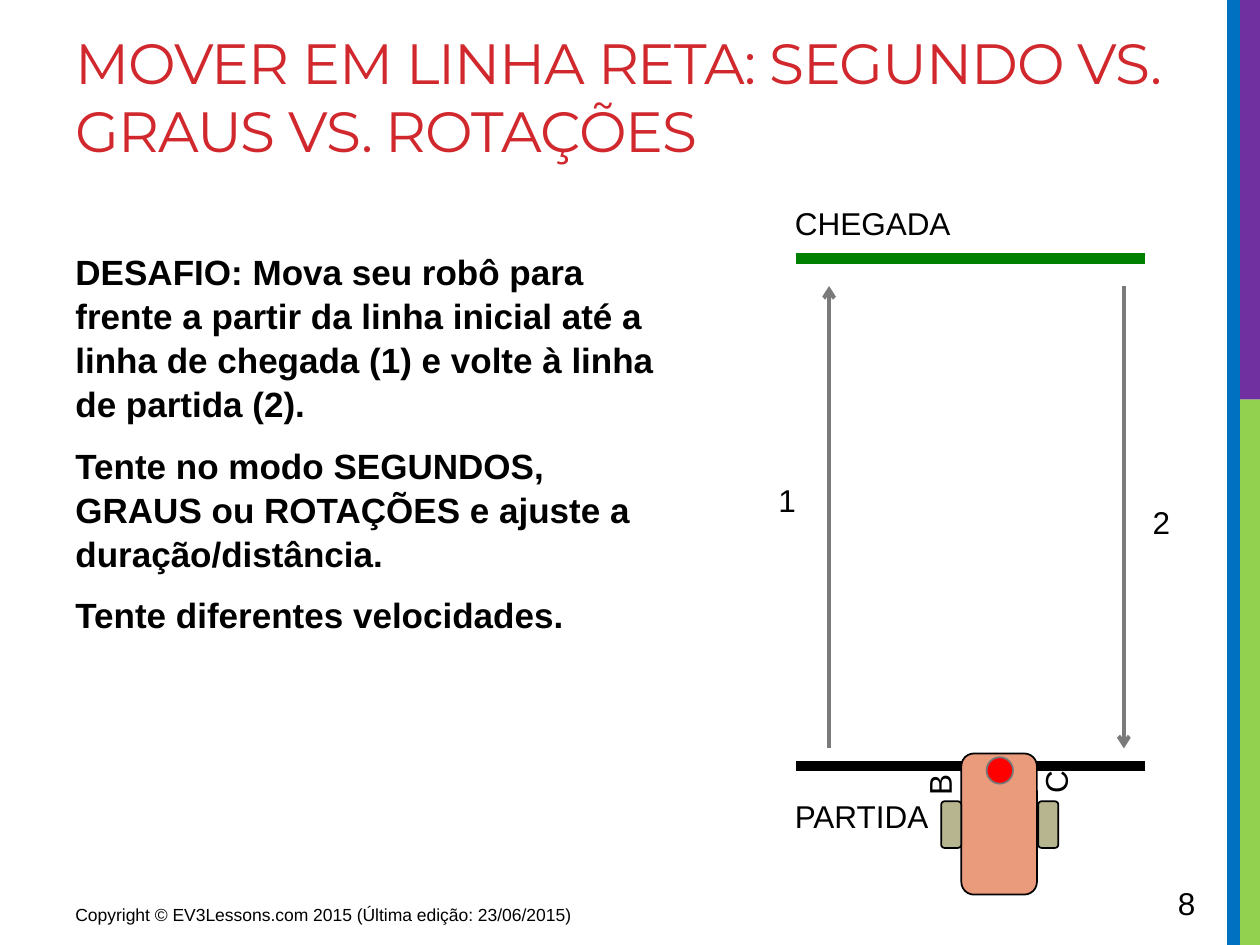
from lxml import etree
from pptx import Presentation
from pptx.dml.color import RGBColor
from pptx.enum.shapes import MSO_CONNECTOR, MSO_SHAPE
from pptx.enum.text import MSO_ANCHOR, PP_ALIGN
from pptx.oxml.ns import qn
from pptx.util import Inches, Pt

STRAIGHT = MSO_CONNECTOR.STRAIGHT
RECTANGLE, ROUNDED, OVAL = MSO_SHAPE.RECTANGLE, MSO_SHAPE.ROUNDED_RECTANGLE, MSO_SHAPE.OVAL
TOP, MIDDLE = MSO_ANCHOR.TOP, MSO_ANCHOR.MIDDLE
LEFT = PP_ALIGN.LEFT

BLACK = RGBColor(0x00, 0x00, 0x00)
TITLE_RED = RGBColor(0xD1, 0x28, 0x2E)
BAR_LIME = RGBColor(0x92, 0xD0, 0x50)
BAR_PURPLE = RGBColor(0x70, 0x30, 0xA0)
BAR_BLUE = RGBColor(0x00, 0x70, 0xC0)
FINISH_GREEN = RGBColor(0x00, 0x80, 0x00)
ARROW_GRAY = RGBColor(0x7A, 0x7A, 0x7A)
ROBOT_ORANGE = RGBColor(0xEA, 0x9B, 0x7C)
WHEEL_KHAKI = RGBColor(0xB6, 0xB5, 0x90)
SENSOR_RED = RGBColor(0xFF, 0x00, 0x00)
SENSOR_GRAY = RGBColor(0x77, 0x77, 0x77)

CHALLENGE = [
    "DESAFIO: Mova seu robô para frente a partir da linha inicial até a "
    "linha de chegada (1) e volte à linha de partida (2).",
    "Tente no modo SEGUNDOS, GRAUS ou ROTAÇÕES e ajuste a duração/distância.",
    "Tente diferentes velocidades.",
]


def add_run(paragraph, text, size, color=BLACK, font="Arial", bold=False):
    run = paragraph.add_run()
    run.text = text
    run.font.name = font
    run.font.size = Pt(size)
    run.font.bold = bold
    run.font.color.rgb = color
    return run


def add_box(shapes, kind, box, fill, line=None):
    shape = shapes.add_shape(kind, *map(Inches, box))
    shape.shadow.inherit = False
    shape.fill.solid()
    shape.fill.fore_color.rgb = fill
    if line is None:
        shape.line.fill.background()
    else:
        shape.line.color.rgb = line
        shape.line.width = Pt(1)


def add_label(shapes, text, box, size=18, wrap=True, anchor=TOP, rotation=0):
    label = shapes.add_textbox(*map(Inches, box))
    label.rotation = rotation
    frame = label.text_frame
    frame.word_wrap = wrap
    frame.vertical_anchor = anchor
    add_run(frame.paragraphs[0], text, size)


def add_line(shapes, start, end, color, width, arrow=False):
    connector = shapes.add_connector(STRAIGHT, *map(Inches, start + end))
    connector.line.color.rgb = color
    connector.line.width = Pt(width)
    if arrow:
        tail = etree.SubElement(connector.line._get_or_add_ln(), qn("a:tailEnd"))
        tail.set("type", "arrow")
    etree.SubElement(connector._element.spPr, qn("a:effectLst"))


def add_title(slide):
    title = slide.shapes.title
    title.left, title.top = Inches(0.5), Inches(0.17)
    title.width, title.height = Inches(9.02), Inches(1.5)
    frame = title.text_frame
    frame.word_wrap = True
    frame.vertical_anchor = TOP
    paragraph = frame.paragraphs[0]
    paragraph.alignment = LEFT
    run = add_run(paragraph, "MOVER EM LINHA RETA: SEGUNDO VS. GRAUS VS. ROTAÇÕES",
                  32.4, TITLE_RED, "Montserrat")
    run.font._element.set("spc", "-60")


def add_challenge(shapes):
    frame = shapes.add_textbox(Inches(0.5), Inches(1.92), Inches(4.98), Inches(4.78)).text_frame
    frame.word_wrap = True
    for index, text in enumerate(CHALLENGE):
        paragraph = frame.add_paragraph() if index else frame.paragraphs[0]
        paragraph.space_before = Pt(4 if index else 0)
        paragraph.space_after = Pt(6)
        paragraph.line_spacing = 1.05
        add_run(paragraph, text, 20, bold=True)


def add_course(shapes):
    # Finish and start lines
    for y, color in ((2.05, FINISH_GREEN), (6.08, BLACK)):
        add_line(shapes, (9.09, y), (6.32, y), color, 6)
    # Way out and way back
    top, bottom = 2.27, 5.94
    add_line(shapes, (6.58, bottom), (6.58, top), ARROW_GRAY, 2.25, arrow=True)
    add_line(shapes, (8.92, top), (8.92, bottom), ARROW_GRAY, 2.25, arrow=True)
    add_label(shapes, "1", (6.08, 3.77, 0.34, 0.4))
    add_label(shapes, "2", (9.05, 3.94, 0.34, 0.4))
    add_label(shapes, "CHEGADA", (6.21, 1.57, 1.45, 0.4), wrap=False)
    add_label(shapes, "PARTIDA", (6.21, 6.28, 1.27, 0.4), wrap=False)


def add_robot(shapes):
    robot = shapes.add_group_shape().shapes
    add_box(robot, ROUNDED, (7.63, 5.98, 0.6, 1.12), ROBOT_ORANGE, BLACK)
    for wheel_left in (8.24, 7.47):
        add_box(robot, ROUNDED, (wheel_left, 6.36, 0.16, 0.37), WHEEL_KHAKI, BLACK)
    add_box(robot, OVAL, (7.83, 6.01, 0.21, 0.21), SENSOR_RED, SENSOR_GRAY)
    # Motor ports
    add_label(robot, "B", (7.18, 6.04, 0.45, 0.3), rotation=270)
    add_label(robot, "C", (8.1, 6.02, 0.45, 0.3), rotation=270)


def main():
    presentation = Presentation()
    presentation.slide_width, presentation.slide_height = Inches(10), Inches(7.5)
    slide = presentation.slides.add_slide(presentation.slide_layouts[5])
    shapes = slide.shapes

    # Coloured bars on the right edge
    add_box(shapes, RECTANGLE, (9.84, 3.17, 0.16, 4.33), BAR_LIME)
    add_box(shapes, RECTANGLE, (9.8, 0, 0.2, 3.17), BAR_PURPLE)
    add_box(shapes, RECTANGLE, (9.74, 0, 0.1, 7.5), BAR_BLUE)

    add_title(slide)
    add_challenge(shapes)
    add_course(shapes)

    # Footer, robot and slide number
    add_label(shapes, "Copyright © EV3Lessons.com 2015 (Última edição: 23/06/2015)",
              (0.5, 7.1, 4.31, 0.31), size=10, anchor=MIDDLE)
    add_robot(shapes)
    add_label(shapes, "8", (9.25, 6.97, 0.69, 0.4), anchor=MIDDLE)

    presentation.save("out.pptx")


if __name__ == "__main__":
    main()
